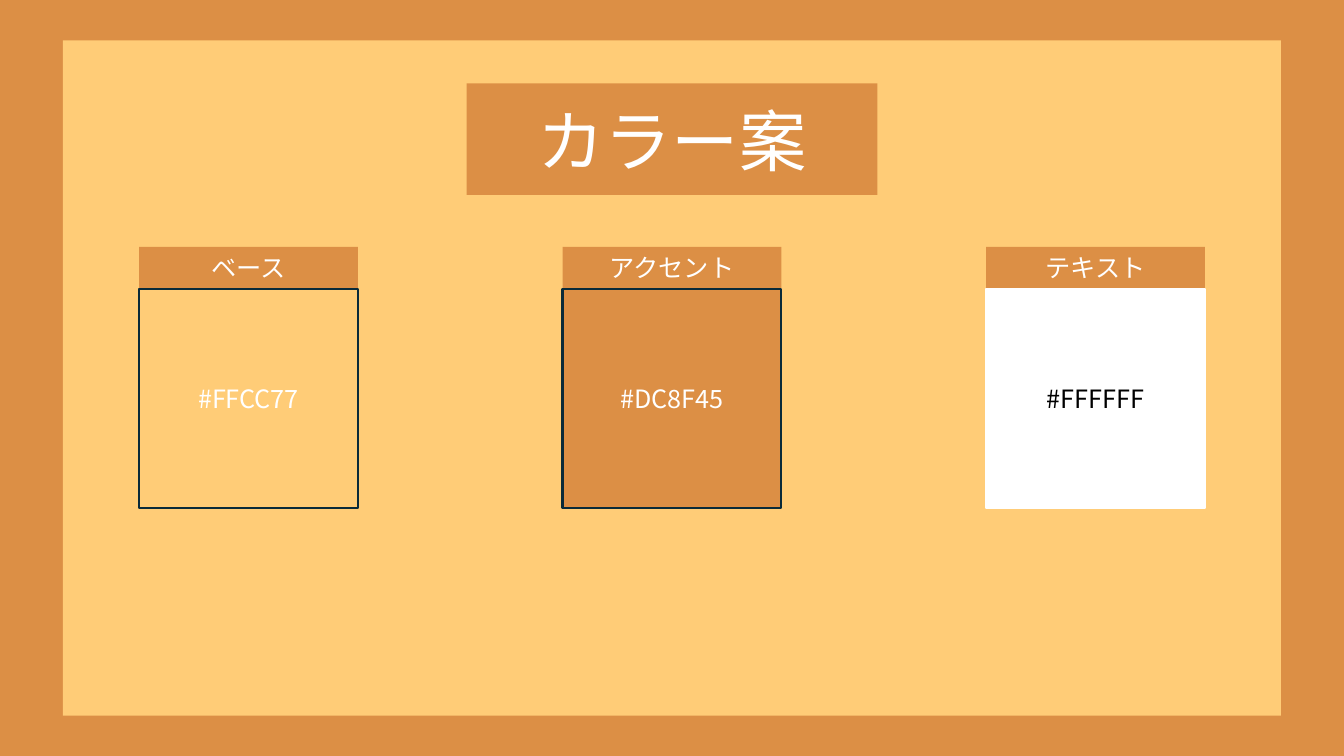
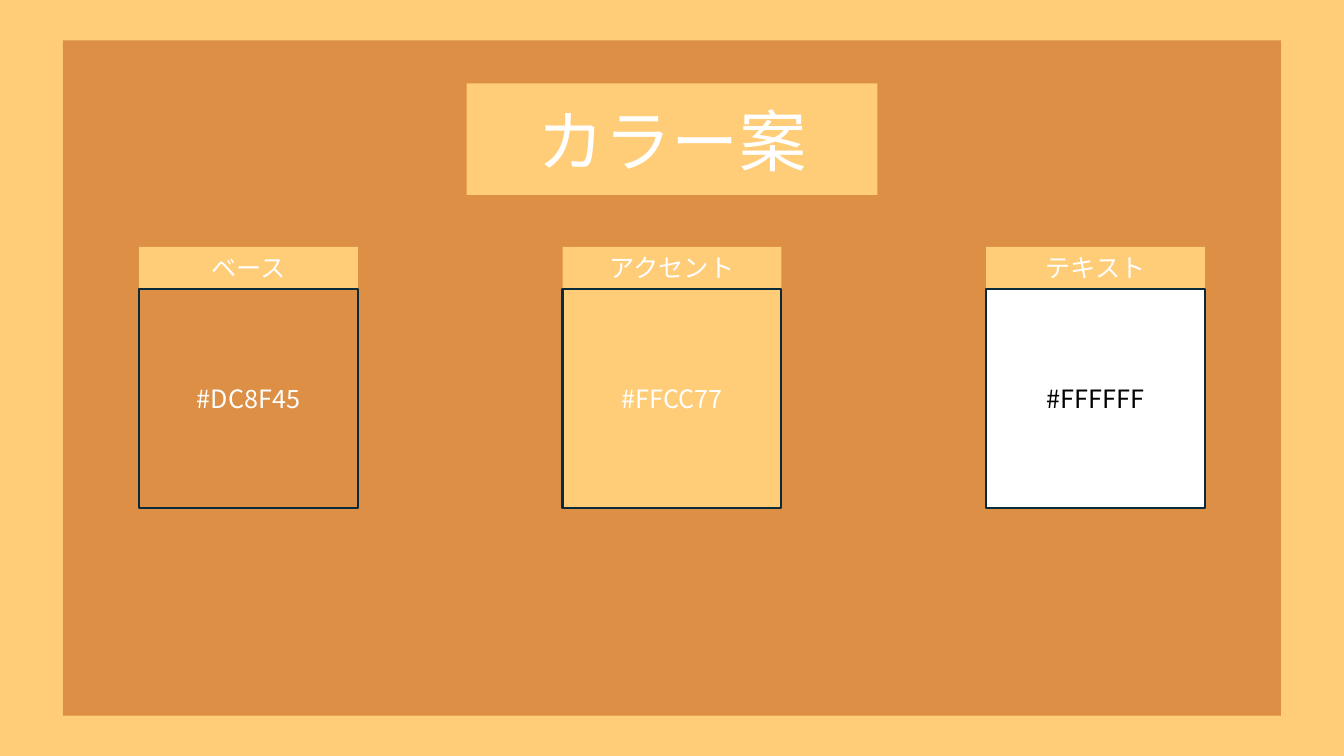
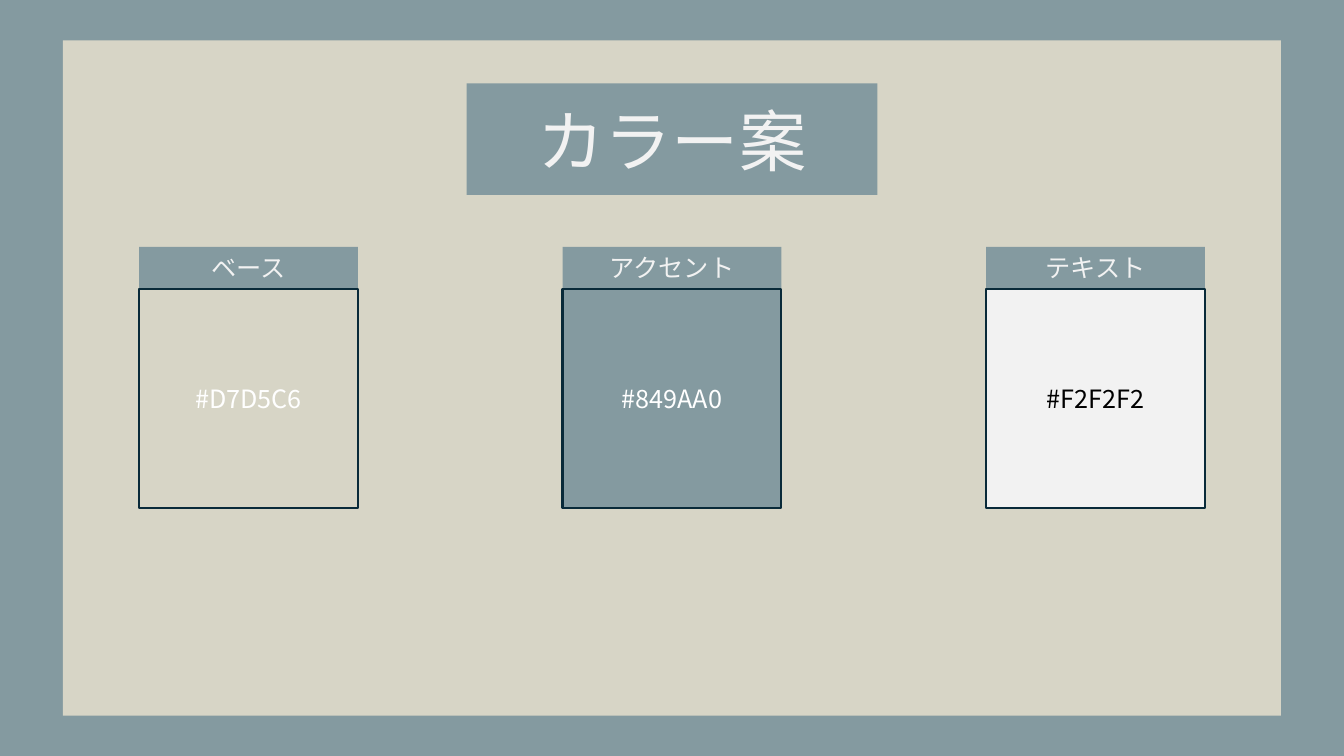
"""Build three slides, each showing one colour scheme with its swatches."""
from dataclasses import dataclass

from lxml.etree import SubElement
from pptx import Presentation
from pptx.dml.color import RGBColor
from pptx.enum.shapes import MSO_SHAPE
from pptx.enum.text import MSO_ANCHOR, MSO_AUTO_SIZE, PP_ALIGN
from pptx.oxml.ns import qn
from pptx.util import Pt

APRICOT = RGBColor(0xFF, 0xCC, 0x77)
OCHRE = RGBColor(0xDC, 0x8F, 0x45)
SAND = RGBColor(0xD7, 0xD5, 0xC6)
SLATE = RGBColor(0x84, 0x9A, 0xA0)
WHITE = RGBColor(0xFF, 0xFF, 0xFF)
PALE_GREY = RGBColor(0xF2, 0xF2, 0xF2)
BLACK = RGBColor(0x00, 0x00, 0x00)
NAVY = RGBColor(0x09, 0x2A, 0x39)

FONT = "Noto Sans CJK JP"
SLIDE_WIDTH, SLIDE_HEIGHT = 960, 540
PANEL_MARGIN_X, PANEL_MARGIN_Y = 45, 28.8
TITLE_TOP, TITLE_WIDTH, TITLE_HEIGHT = 59.5, 293.5, 79.8
LABEL_TOP, LABEL_HEIGHT = 176.4, 29.2
SWATCH_TOP, SWATCH_SIDE, SWATCH_STEP = 206.5, 156.4, 302.5


@dataclass
class Scheme:
    """The colours of one proposal."""

    base: RGBColor
    accent: RGBColor
    text: RGBColor
    text_border: RGBColor = NAVY


SCHEMES = [
    Scheme(APRICOT, OCHRE, WHITE, text_border=WHITE),
    Scheme(OCHRE, APRICOT, WHITE),
    Scheme(SAND, SLATE, PALE_GREY),
]


def write_text(shape, text, *, size=18, color=WHITE):
    """Set centred text in the shared font."""
    frame = shape.text_frame
    frame.word_wrap = True
    frame.auto_size = MSO_AUTO_SIZE.NONE
    frame.vertical_anchor = MSO_ANCHOR.MIDDLE
    frame.margin_top = frame.margin_bottom = 0
    paragraph = frame.paragraphs[0]
    paragraph.alignment = PP_ALIGN.CENTER
    run = paragraph.add_run()
    run.text = text
    run.font.size = Pt(size)
    run.font.color.rgb = color
    run.font.name = FONT
    SubElement(run.font._element, qn("a:ea"), typeface=FONT)


def add_box(slide, left, top, width, height, fill, border=None):
    """Add a flat rectangle, outlined when a border colour is given."""
    box = slide.shapes.add_shape(
        MSO_SHAPE.RECTANGLE, Pt(left), Pt(top), Pt(width), Pt(height)
    )
    box.shadow.inherit = False
    box.fill.solid()
    box.fill.fore_color.rgb = fill
    if border is None:
        box.line.fill.background()
    else:
        box.line.color.rgb = border
        box.line.width = Pt(1.5)
    return box


def add_title(slide, text, scheme):
    """Place and format the title placeholder as a centred banner."""
    title = slide.shapes.title
    title.left, title.top = Pt((SLIDE_WIDTH - TITLE_WIDTH) / 2), Pt(TITLE_TOP)
    title.width, title.height = Pt(TITLE_WIDTH), Pt(TITLE_HEIGHT)
    title.fill.solid()
    title.fill.fore_color.rgb = scheme.accent
    write_text(title, text, size=48, color=scheme.text)


def add_panel(slide, scheme):
    """Frame the slide in the accent colour, with a base panel behind the title."""
    slide.background.fill.solid()
    slide.background.fill.fore_color.rgb = scheme.accent
    panel = add_box(
        slide,
        PANEL_MARGIN_X,
        PANEL_MARGIN_Y,
        SLIDE_WIDTH - 2 * PANEL_MARGIN_X,
        SLIDE_HEIGHT - 2 * PANEL_MARGIN_Y,
        scheme.base,
    )
    slide.shapes.title.element.addprevious(panel.element)


def add_swatch(slide, column, role, color, scheme, code_color=WHITE, border=NAVY):
    """Add a labelled colour square showing its own hex code."""
    left = (SLIDE_WIDTH - SWATCH_SIDE) / 2 + (column - 1) * SWATCH_STEP
    swatch = add_box(slide, left, SWATCH_TOP, SWATCH_SIDE, SWATCH_SIDE, color, border)
    write_text(swatch, f"#{color}", color=code_color)
    label = add_box(slide, left, LABEL_TOP, SWATCH_SIDE, LABEL_HEIGHT, scheme.accent)
    write_text(label, role, color=scheme.text)


def add_scheme_slide(deck, scheme):
    """Add the slide that presents one colour scheme."""
    slide = deck.slides.add_slide(deck.slide_layouts.get_by_name("Title Only"))
    add_panel(slide, scheme)
    add_title(slide, "カラー案", scheme)
    add_swatch(slide, 0, "ベース", scheme.base, scheme)
    add_swatch(slide, 1, "アクセント", scheme.accent, scheme)
    add_swatch(slide, 2, "テキスト", scheme.text, scheme, BLACK, scheme.text_border)


def main():
    """Build and save the deck."""
    deck = Presentation()
    deck.slide_width, deck.slide_height = Pt(SLIDE_WIDTH), Pt(SLIDE_HEIGHT)
    for scheme in SCHEMES:
        add_scheme_slide(deck, scheme)
    deck.save("out.pptx")


if __name__ == "__main__":
    main()
